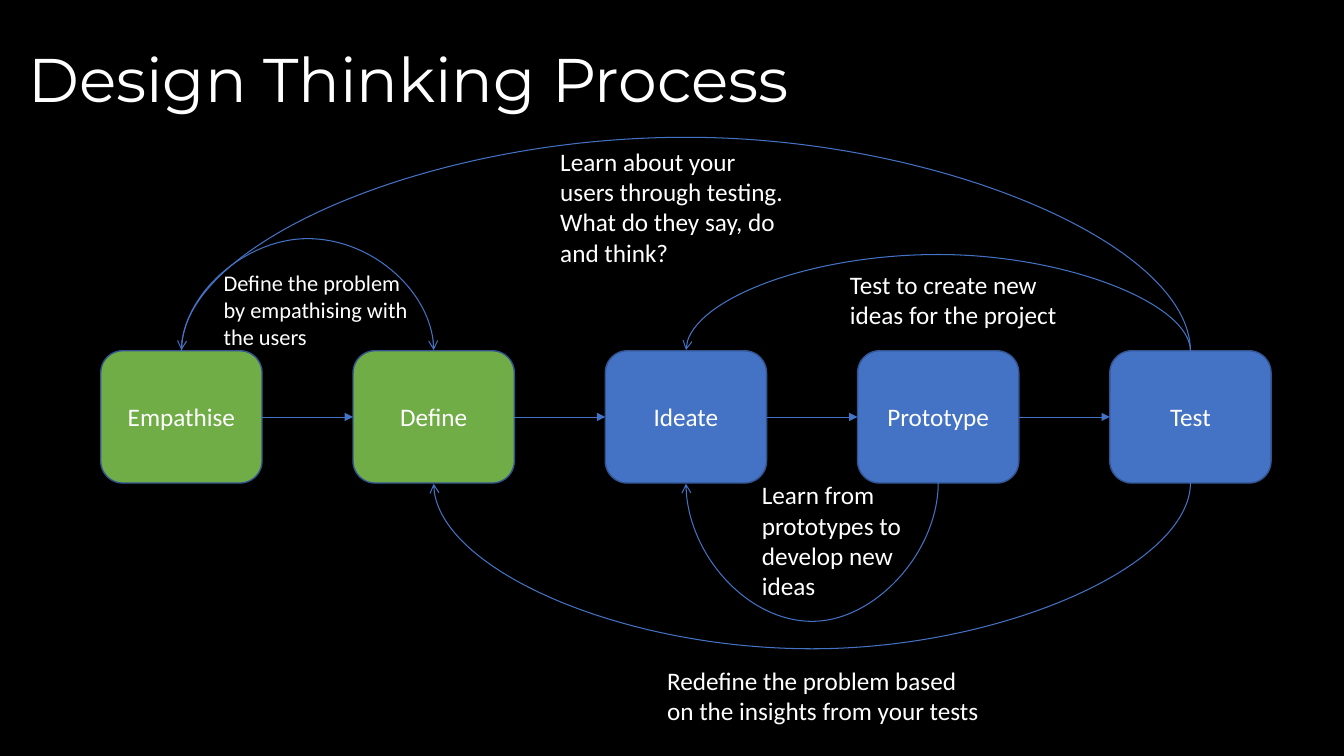
from pptx import Presentation
from pptx.dml.color import RGBColor
from pptx.enum.shapes import MSO_CONNECTOR, MSO_SHAPE
from pptx.enum.text import MSO_ANCHOR, MSO_AUTO_SIZE, PP_ALIGN
from pptx.oxml.ns import qn
from pptx.util import Inches, Pt
from lxml.etree import SubElement

WHITE, GREEN, BLUE, EDGE = "FFFFFF", "70AD47", "4472C4", "325491"
TOP, LEFT, BASE, RIGHT = range(4)
THIN = Pt(1)  # extent of a loop's frame across its ends


def color(code):
    return RGBColor.from_string(code)


class Deck:
    """Style and current slide; lengths are percentages of the slide's size."""

    def __init__(self):
        self.prs = Presentation()
        self.prs.slide_width, self.prs.slide_height = Inches(13.333), Inches(7.5)
        self.slide = self.prs.slides.add_slide(self.prs.slide_layouts[5])
        self.shapes = self.slide.shapes
        fill = self.slide.background.fill
        fill.solid()
        fill.fore_color.rgb = color("000000")

    def across(self, share):
        return round(self.prs.slide_width * share / 100)

    def down(self, share):
        return round(self.prs.slide_height * share / 100)

    def area(self, x, y, w, h):
        return self.across(x), self.down(y), self.across(w), self.down(h)

    def label(self, frame, text, size, font="Calibri", align=PP_ALIGN.LEFT):
        frame.text = text
        frame.word_wrap = True
        for para in frame.paragraphs:
            para.alignment = align
            for run in para.runs:
                run.font.name, run.font.size = font, Pt(size)
                run.font.color.rgb = color(WHITE)

    def title(self, text, *spot):
        head = self.shapes.title
        head.left, head.top, head.width, head.height = self.area(*spot)
        frame = head.text_frame
        self.label(frame, text, 44, "Montserrat")
        frame.auto_size = MSO_AUTO_SIZE.NONE
        frame.vertical_anchor = MSO_ANCHOR.MIDDLE
        frame.paragraphs[0].line_spacing = 0.9

    def box(self, text, fill, *spot):
        box = self.shapes.add_shape(MSO_SHAPE.ROUNDED_RECTANGLE, *self.area(*spot))
        box.shadow.inherit = False
        box.fill.solid()
        box.fill.fore_color.rgb = color(fill)
        box.line.color.rgb = color(EDGE)
        box.line.width = Pt(1)
        self.label(box.text_frame, text, 18, align=PP_ALIGN.CENTER)
        box.text_frame.vertical_anchor = MSO_ANCHOR.MIDDLE
        return box

    def note(self, text, size, *spot):
        frame = self.shapes.add_textbox(*self.area(*spot)).text_frame
        self.label(frame, text, size)
        frame.auto_size = MSO_AUTO_SIZE.SHAPE_TO_FIT_TEXT

    def join(self, kind, start, out, end, into, width, head):
        line = self.shapes.add_connector(kind, 0, 0, 0, 0)
        line.begin_connect(start, out)
        line.end_connect(end, into)
        line.line.color.rgb = color(BLUE)
        line.line.width = Pt(width)
        props = line._element.spPr
        SubElement(props.find(qn("a:ln")), qn("a:tailEnd"), type=head)
        SubElement(props, qn("a:effectLst"))
        return line

    def arrow(self, start, end):
        self.join(MSO_CONNECTOR.STRAIGHT, start, RIGHT, end, LEFT, 0.5, "triangle")

    def loop(self, start, end, side, depth):
        """Curve between two boxes, bulging by depth from their given side."""
        line = self.join(MSO_CONNECTOR.CURVE, start, side, end, side, 0.75, "arrow")
        first, last = (b.left + b.width // 2 for b in (start, end))
        span = abs(last - first)
        level = start.top + (start.height if side == BASE else 0)
        # The frame stands upright and is turned by a quarter
        line.left, line.top = (first + last - THIN) // 2, level - span // 2
        line.width, line.height = THIN, span
        props = line._element.spPr
        frame = props.find(qn("a:xfrm"))
        for flip in ("flipH", "flipV"):
            frame.attrib.pop(flip, None)
        frame.set("rot", str((90 if side == BASE else 270) * 60000))
        if side == TOP and last < first:
            frame.set("flipV", "1")
        shape = props.find(qn("a:prstGeom"))
        guides = shape.find(qn("a:avLst"))
        if guides is None:
            guides = SubElement(shape, qn("a:avLst"))
        bend = round(self.down(depth) / THIN * 100000)
        SubElement(guides, qn("a:gd"), name="adj1", fmla=f"val {bend}")


def main():
    deck = Deck()
    deck.title("Design Thinking Process", 1.35, 1.2, 86.27, 19.33)

    # Five stages in an even row
    stages = (("Empathise", GREEN), ("Define", GREEN), ("Ideate", BLUE),
              ("Prototype", BLUE), ("Test", BLUE))
    boxes = [deck.box(name, fill, 7.5 + 18.77 * i, 46.4, 12, 17.5)
             for i, (name, fill) in enumerate(stages)]
    feel, define, ideate, model, test = boxes

    # Feedback loops
    for start, end, side, depth in (
            (feel, define, TOP, 15.05),
            (test, feel, TOP, 28.56),
            (test, ideate, TOP, 12.93),
            (model, ideate, BASE, 18.53),
            (test, define, BASE, 22.19)):
        deck.loop(start, end, side, depth)

    # Loop notes
    for text, size, *spot in (
            ("Learn about your users through testing.\nWhat do they say, do and think?",
             18, 40.95, 18.67, 18.75, 17.5),
            ("Test to create new ideas for the project", 18, 62.5, 34.93, 17.4, 9.47),
            ("Define the problem by empathising with the users",
             16, 15.9, 34.93, 15.83, 12.13),
            ("Redefine the problem based on the insights from your tests",
             18, 48.9, 87.33, 24.75, 9.47),
            ("Learn from prototypes to develop new ideas",
             18, 55.95, 62.8, 15.53, 17.5)):
        deck.note(text, size, *spot)

    # Forward steps
    for start, end in zip(boxes, boxes[1:]):
        deck.arrow(start, end)

    deck.prs.save("out.pptx")


if __name__ == "__main__":
    main()
